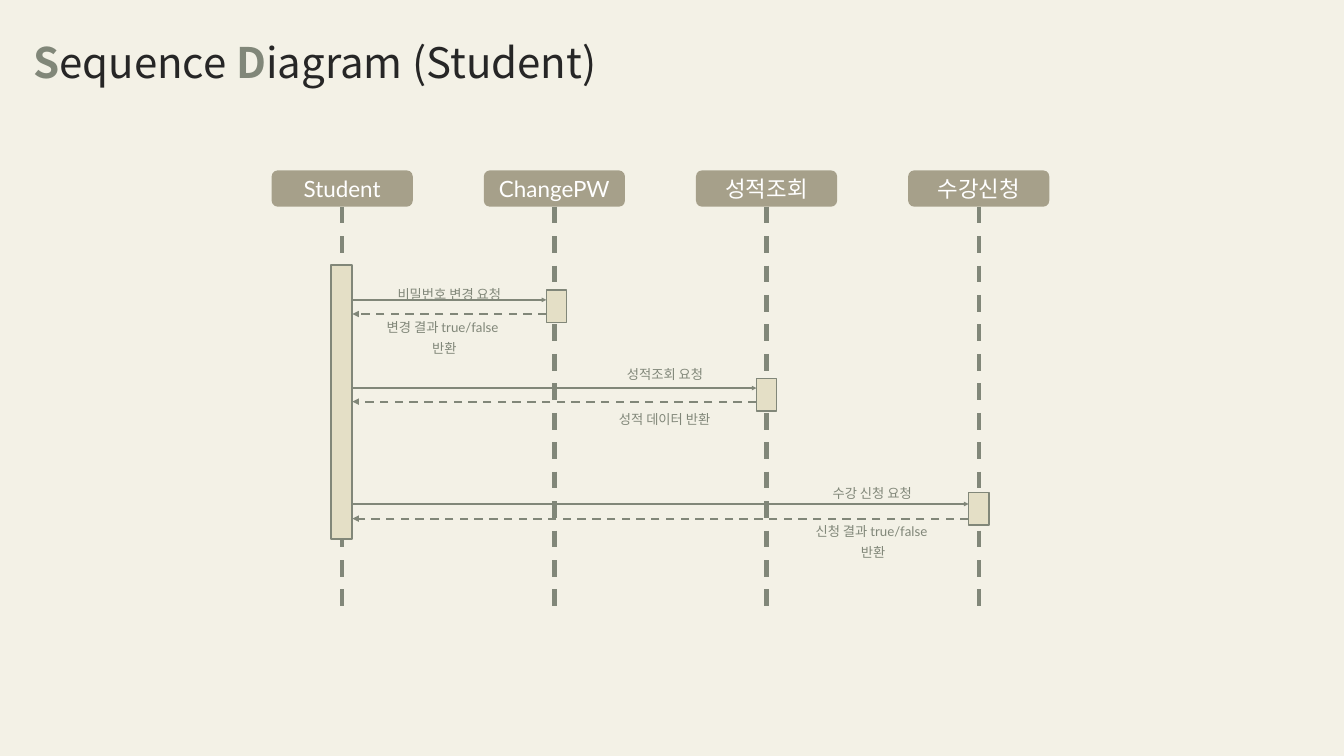
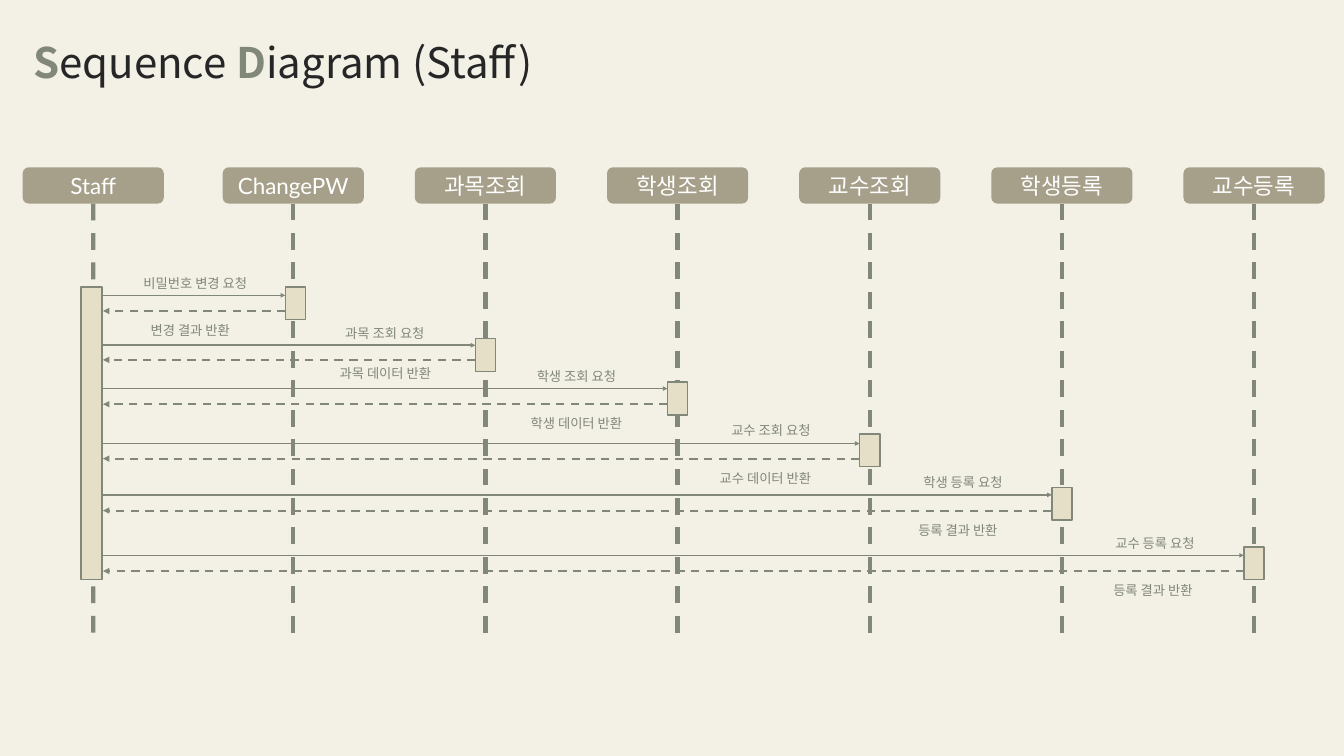
from pptx import Presentation
from pptx.dml.color import RGBColor
from pptx.enum.dml import MSO_LINE_DASH_STYLE as DASH
from pptx.enum.shapes import MSO_CONNECTOR as CONN, MSO_SHAPE as SHAPE
from pptx.enum.text import MSO_ANCHOR as ANCHOR, MSO_AUTO_SIZE as FIT, PP_ALIGN as ALIGN
from pptx.oxml.ns import qn
from pptx.util import Pt
from lxml.etree import SubElement

WIDTH, HEIGHT = 1920, 1080
PAPER, SAND, CREAM, SAGE, INK, WHITE = "F3F1E6", "A6A08A", "E4DFC6", "818779", "262626", "FFFFFF"
LATIN, KOREAN = "Lato", "Noto Sans CJK KR"
HEAD_W, HEAD_H = 201.6, 51.84
BOX_W, BOX_H = 28.8, 46.8
LABEL_W, LABEL_H, LABEL_H2 = 188, 38.2, 67.7

STUDENT = dict(
    title="Student",
    heads=["Student", "ChangePW", "성적조회", "수강신청"],
    lefts=[388.1 + 303.1 * i for i in range(4)],
    top=243.4, end=874.8,
    bar=(473, 378.7, 29.5, 391),
    messages=[
        (414, 428.4, 448.6, ("비밀번호 변경 요청", 547.9, 397.4),
         ("변경 결과 true/false  반환", 540.7, 445, LABEL_H2)),
        (540.7, 554.4, 573.8, ("성적조회 요청", 856.1, 512.6),
         ("성적 데이터 반환", 855.4, 576.7)),
        (703.4, 720, 740.9, ("수강 신청 요청", 1152, 681.8),
         ("신청 결과 true/false  반환", 1153.4, 736.6, LABEL_H2)),
    ])

STAFF = dict(
    title="Staff",
    heads=["Staff", "ChangePW", "과목조회", "학생조회", "교수조회", "학생등록", "교수등록"],
    lefts=[32.4] + [318.2 + 274.5 * i for i in range(6)],
    top=239, end=915.1,
    bar=(115.9, 409.7, 30.2, 418.3),
    messages=[
        (409.7, 421.9, 444.2, ("비밀번호 변경 요청", 185, 381.6), ("변경 결과 반환", 177.8, 448.6)),
        (483.8, 493.2, 514.1, ("과목 조회 요청", 455.8, 452.9), ("과목 데이터 반환", 456.5, 511.2)),
        (545.8, 555.1, 577.4, ("학생 조회 요청", 729.4, 514.8), ("학생 데이터 반환", 729.4, 581.8)),
        (619.9, 633.6, 655.2, ("교수 조회 요청", 1007.3, 592.6), ("교수 데이터 반환", 999.4, 660.2)),
        (696.2, 707, 729.4, ("학생 등록 요청", 1281.6, 666.7), ("등록 결과 반환", 1274.4, 734.4)),
        (781.2, 793.4, 815.8, ("교수 등록 요청", 1555.9, 753.1), ("등록 결과 반환", 1553, 820.8)),
    ])


def rgb(code):
    """Turn a hex string into a colour."""
    return RGBColor.from_string(code)


def add_run(p, text, size=19, color=SAGE, font=LATIN, bold=None):
    """Add formatted text to a paragraph."""
    r = p.add_run()
    r.text = text
    r.font.size, r.font.name, r.font.bold = Pt(size), font, bold
    r.font.color.rgb = rgb(color)
    SubElement(r.font._element, qn("a:ea"), typeface=KOREAN)


def prepare(sp, align=ALIGN.CENTER, spacing=None):
    """Set up a shape's text frame and return its first paragraph."""
    tf = sp.text_frame
    tf.word_wrap, tf.auto_size, tf.vertical_anchor = True, FIT.SHAPE_TO_FIT_TEXT, ANCHOR.MIDDLE
    tf.margin_left = tf.margin_right = tf.margin_top = tf.margin_bottom = Pt(4)
    p = tf.paragraphs[0]
    p.alignment, p.line_spacing = align, spacing
    return p


class Diagram:
    """Draw sequence diagrams in one style, slide by slide."""

    def __init__(self, prs):
        """Keep the presentation."""
        self.prs = prs

    def start(self, name):
        """Open a slide with its paper and title."""
        self.s = self.prs.slides.add_slide(self.prs.slide_layouts[6])
        self.shape(0, 0, WIDTH, HEIGHT, PAPER)
        p = prepare(self.textbox(43.2, 26.6, 860.4, 102.2), ALIGN.LEFT, 1.3)
        for text, bold in (("S", True), ("equence", False), (" D", True), (f"iagram ({name})", False)):
            add_run(p, text, size=60, color=SAGE if bold else INK, font=KOREAN, bold=bold)

    def textbox(self, x, y, w, h):
        """Add an empty text box."""
        return self.s.shapes.add_textbox(Pt(x), Pt(y), Pt(w), Pt(h))

    def shape(self, x, y, w, h, fill, kind=SHAPE.RECTANGLE, line=None):
        """Add a filled shape, outlined if a line colour is given."""
        sp = self.s.shapes.add_shape(kind, Pt(x), Pt(y), Pt(w), Pt(h))
        sp.shadow.inherit = False
        sp.fill.solid()
        sp.fill.fore_color.rgb = rgb(fill)
        if line:
            sp.line.color.rgb, sp.line.width = rgb(line), Pt(2.25)
        else:
            sp.line.fill.background()
        return sp

    def head(self, text, x, y):
        """Add a participant's name plate."""
        sp = self.shape(x, y, HEAD_W, HEAD_H, SAND, SHAPE.ROUNDED_RECTANGLE)
        add_run(prepare(sp), text, size=32, color=WHITE)
        return sp

    def line(self, x1, y1, x2, y2, width, dashed=False, arrow=False):
        """Add a straight line or arrow."""
        c = self.s.shapes.add_connector(CONN.STRAIGHT, Pt(x1), Pt(y1), Pt(x2), Pt(y2))
        c.line.color.rgb, c.line.width = rgb(SAGE), Pt(width)
        if dashed:
            c.line.dash_style = DASH.DASH
        if arrow:
            SubElement(c.line._get_or_add_ln(), qn("a:tailEnd"), type="triangle")
        SubElement(c._element.spPr, qn("a:effectLst"))
        return c

    def lifeline(self, head, x, top, end):
        """Hang a dashed lifeline from a name plate."""
        self.line(x, top, x, end, 6, dashed=True).begin_connect(head, 2)

    def activation(self, x, y, w, h):
        """Add an activation bar."""
        self.shape(x, y, w, h, CREAM, line=SAGE)

    def label(self, text, x, y, h=LABEL_H):
        """Add a message caption."""
        add_run(prepare(self.textbox(x, y, LABEL_W, h), spacing=1.3), text)

    def sequence(self, title, heads, lefts, top, end, bar, messages):
        """Draw one whole sequence slide."""
        self.start(title)
        centers = [x + HEAD_W / 2 for x in lefts]
        plates = [self.head(text, x, top) for text, x in zip(heads, lefts)]
        for plate, x in zip(plates, centers):
            self.lifeline(plate, x, top + HEAD_H, end)
        self.activation(*bar)
        left = bar[0] + bar[2] + 1
        for i, (box_y, request_y, reply_y, request, reply) in enumerate(messages):
            x = centers[i + 1] - BOX_W / 2 + (3 if i == 0 else 0)
            self.activation(x, box_y, BOX_W, BOX_H)
            self.line(left, request_y, x, request_y, 2.25, arrow=True)
            self.line(x, reply_y, left, reply_y, 3, dashed=True, arrow=True)
            self.label(*request)
            self.label(*reply)


def main():
    """Build and save the slides."""
    prs = Presentation()
    prs.slide_width, prs.slide_height = Pt(WIDTH), Pt(HEIGHT)
    diagram = Diagram(prs)
    for content in (STUDENT, STAFF):
        diagram.sequence(**content)
    prs.save("out.pptx")


if __name__ == "__main__":
    main()
